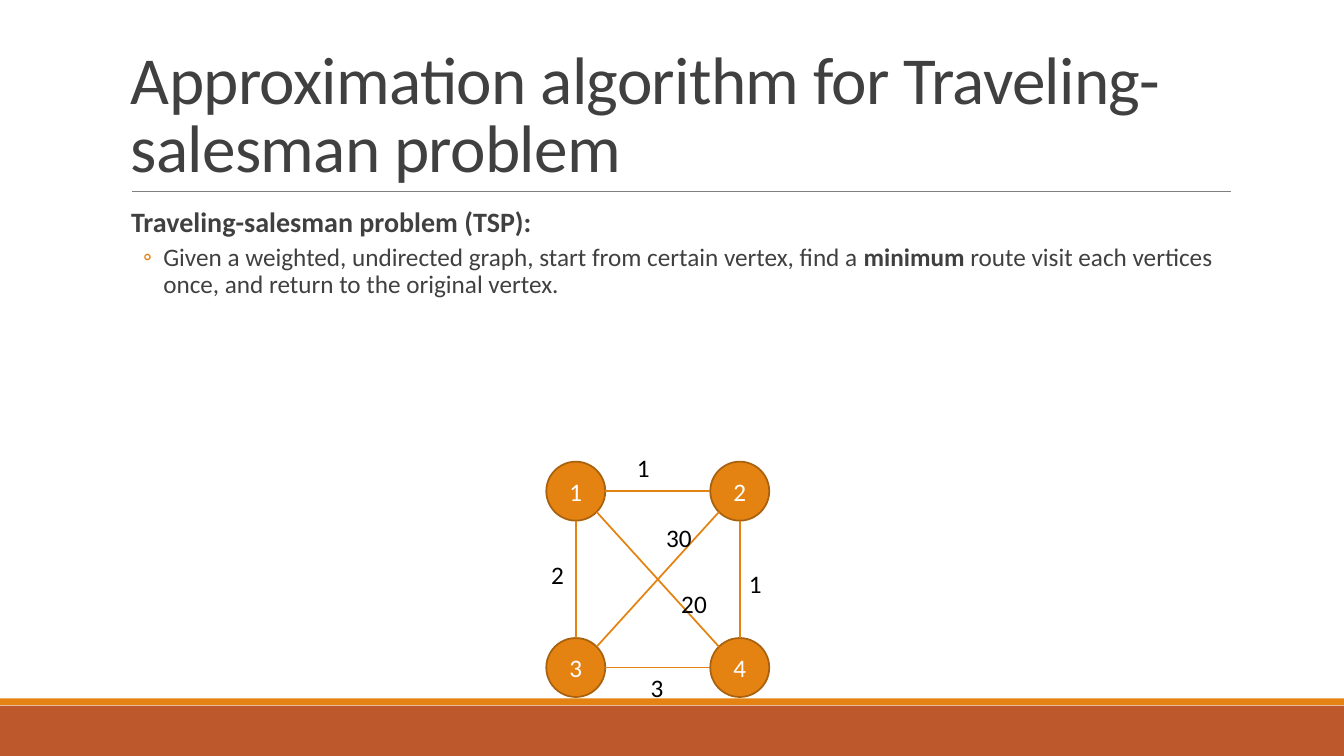
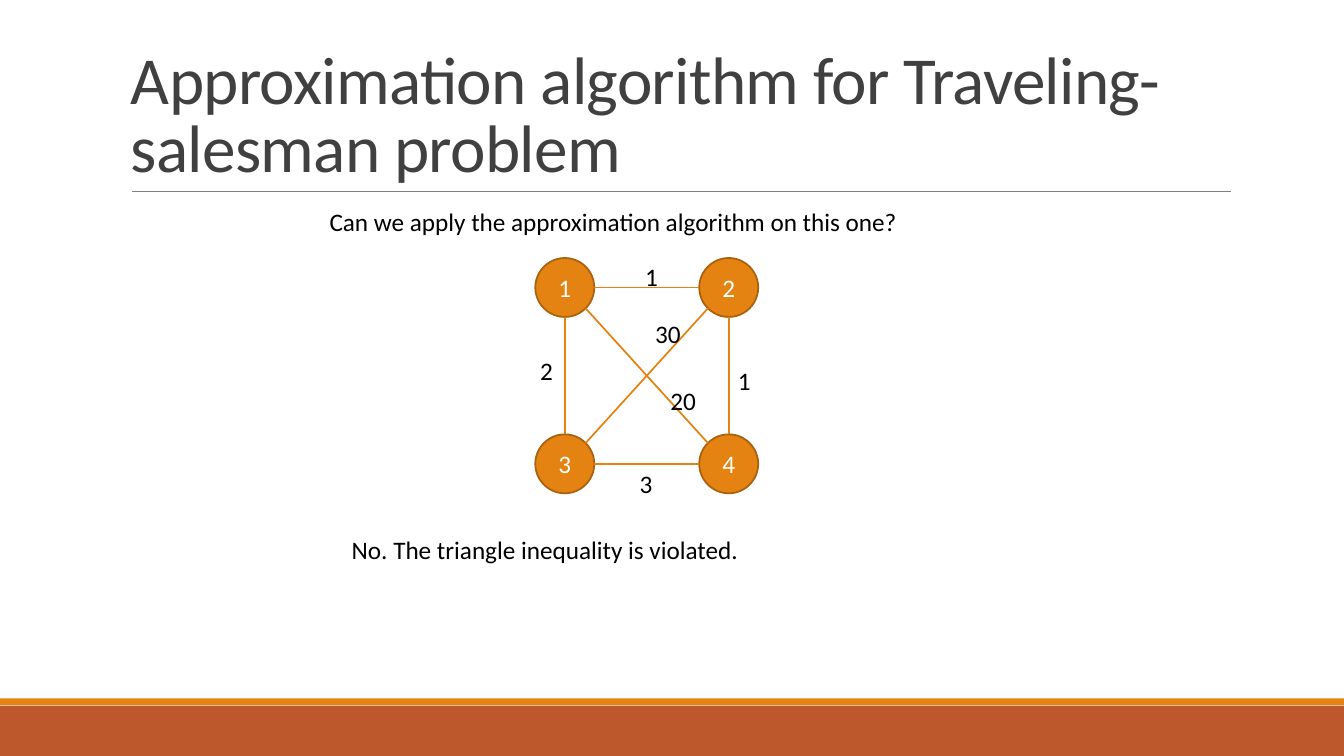
import dataclasses
import math

import lxml.etree
import pptx
import pptx.dml.color
import pptx.enum.shapes
import pptx.enum.text
import pptx.oxml.ns
import pptx.util

SHAPE = pptx.enum.shapes.MSO_SHAPE
ANCHOR = pptx.enum.text.MSO_ANCHOR
qn = pptx.oxml.ns.qn


@dataclasses.dataclass(frozen=True)
class Theme:
    font: str = "Calibri"
    accent: str = "E48312"
    accent_edge: str = "A9610D"
    band: str = "BD582C"
    rule: str = "808080"
    heading: str = "404040"
    label: str = "000000"
    on_accent: str = "FFFFFF"
    title_size: int = 48
    lead_size: int = 20
    text_size: int = 18
    edge_width: float = 1.25
    rule_width: float = 0.5


THEME = Theme()
WIDTH, HEIGHT = pptx.util.Inches(13.33), pptx.util.Inches(7.5)
TITLE = "Approximation algorithm for Traveling-salesman problem"
MARGIN, CONTENT_WIDTH = 9, 82.5
LINE_HEIGHT = 5.33

NODE_W, NODE_H = 4.39, 7.8
COLUMN_STEP, ROW_STEP = 12.2, 23.33
VERTICES = {"3": (0, 1), "1": (0, 0), "2": (1, 0), "4": (1, 1)}
TOP, BOTTOM_LEFT, LEFT, BOTTOM, BOTTOM_RIGHT, RIGHT, TOP_LEFT, TOP_RIGHT = 0, 3, 2, 4, 5, 6, 1, 7
EDGES = [
    ("1", BOTTOM, "3", TOP),
    ("1", RIGHT, "2", LEFT),
    ("2", BOTTOM, "4", TOP),
    ("3", RIGHT, "4", LEFT),
    ("1", BOTTOM_RIGHT, "4", TOP_LEFT),
    ("3", TOP_RIGHT, "2", BOTTOM_LEFT),
]
WEIGHTS = [
    ("2", -0.37, 12.27),
    ("1", 14.33, 13.47),
    ("3", 7.02, 27.2),
    ("30", 8.18, 7.33),
    ("20", 9.3, 16.13),
]


def across(percent):
    return round(WIDTH * percent / 100)


def down(percent):
    return round(HEIGHT * percent / 100)


def area(left, top, width, height):
    return across(left), down(top), across(width), down(height)


def rgb(value):
    return pptx.dml.color.RGBColor.from_string(value)


def style_runs(paragraph, size, color):
    for run in paragraph.runs:
        run.font.name = THEME.font
        run.font.size = pptx.util.Pt(size)
        run.font.color.rgb = rgb(color)


def add_text(slide, text, box, size=THEME.text_size, color=THEME.label):
    frame = slide.shapes.add_textbox(*area(*box)).text_frame
    frame.word_wrap = True
    frame.text = text
    style_runs(frame.paragraphs[0], size, color)
    return frame


def add_filled(slide, kind, box, fill, outline=None):
    shape = slide.shapes.add_shape(kind, *area(*box))
    shape.shadow.inherit = False
    shape.fill.solid()
    shape.fill.fore_color.rgb = rgb(fill)
    if outline:
        shape.line.color.rgb = rgb(outline)
        shape.line.width = pptx.util.Pt(THEME.edge_width)
    else:
        shape.line.fill.background()
    return shape


def add_line(slide, start, end, color, width):
    line = slide.shapes.add_connector(
        pptx.enum.shapes.MSO_CONNECTOR.STRAIGHT,
        across(start[0]), down(start[1]), across(end[0]), down(end[1]),
    )
    line.line.color.rgb = rgb(color)
    line.line.width = pptx.util.Pt(width)
    lxml.etree.SubElement(line._element.spPr, qn("a:effectLst"))
    return line


def add_titled_slide(deck):
    slide = deck.slides.add_slide(deck.slide_layouts[6])
    add_filled(slide, SHAPE.RECTANGLE, (0, 93.33, 100, 6.67), THEME.band)
    add_filled(slide, SHAPE.RECTANGLE, (0, 92.4, 100, 0.88), THEME.accent)
    add_line(slide, (9.83, 25.33), (91.6, 25.33), THEME.rule, THEME.rule_width)
    title = add_text(slide, TITLE, (MARGIN, 4.13, CONTENT_WIDTH, 21.2),
                     THEME.title_size, THEME.heading)
    title.vertical_anchor = ANCHOR.BOTTOM
    title.paragraphs[0].line_spacing = 0.85
    title.paragraphs[0].runs[0].font._element.set("spc", "-50")
    return slide


def add_bullet(paragraph, indent, hanging):
    props = paragraph._p.get_or_add_pPr()
    props.set("marL", str(across(indent)))
    props.set("indent", str(-across(hanging)))
    color = lxml.etree.SubElement(props, qn("a:buClr"))
    lxml.etree.SubElement(color, qn("a:srgbClr"), val=THEME.accent)
    lxml.etree.SubElement(props, qn("a:buFont"), typeface=THEME.font)
    lxml.etree.SubElement(props, qn("a:buChar"), char="◦")


def add_definition(slide, term, parts):
    frame = add_text(slide, term, (MARGIN, 26.93, CONTENT_WIDTH, 58.67),
                     THEME.lead_size, THEME.heading)
    frame.margin_left = frame.margin_right = 0
    lead = frame.paragraphs[0]
    lead.runs[0].font.bold = True
    lead.line_spacing = 0.9
    lead.space_after = pptx.util.Pt(2)
    lead._p.get_or_add_pPr().set("marL", str(across(0.75)))

    meaning = frame.add_paragraph()
    meaning.line_spacing = 0.9
    meaning.space_before = pptx.util.Pt(2)
    meaning.space_after = pptx.util.Pt(4)
    add_bullet(meaning, 3.15, 1.5)
    for text, bold in parts:
        run = meaning.add_run()
        run.text = text
        run.font.bold = bold
    style_runs(meaning, THEME.text_size, THEME.heading)


def add_vertex(slide, name, corner):
    vertex = add_filled(slide, SHAPE.OVAL, (*corner, NODE_W, NODE_H),
                        THEME.accent, THEME.accent_edge)
    frame = vertex.text_frame
    frame.margin_left = frame.margin_right = 0
    frame.vertical_anchor = ANCHOR.MIDDLE
    frame.text = name
    frame.paragraphs[0].alignment = pptx.enum.text.PP_ALIGN.CENTER
    style_runs(frame.paragraphs[0], THEME.text_size, THEME.on_accent)
    return vertex


def rim_point(corner, site):
    angle = site * math.pi / 4
    return (corner[0] + NODE_W * (1 - math.sin(angle)) / 2,
            corner[1] + NODE_H * (1 - math.cos(angle)) / 2)


def add_graph(slide, left, top, top_weight_at):
    corners = {name: (left + column * COLUMN_STEP, top + row * ROW_STEP)
               for name, (column, row) in VERTICES.items()}
    vertices = {name: add_vertex(slide, name, corner)
                for name, corner in corners.items()}
    for source, source_site, target, target_site in EDGES:
        edge = add_line(slide, rim_point(corners[source], source_site),
                        rim_point(corners[target], target_site),
                        THEME.accent, THEME.edge_width)
        joints = edge._element.nvCxnSpPr.cNvCxnSpPr
        for tag, name, site in (("a:stCxn", source, source_site),
                                ("a:endCxn", target, target_site)):
            lxml.etree.SubElement(joints, qn(tag), idx=str(site),
                                  id=str(vertices[name].shape_id))
    for weight, dx, dy in [("1", *top_weight_at), *WEIGHTS]:
        width = 1.5 + 0.98 * len(weight)
        add_text(slide, weight, (left + dx, top + dy, width, LINE_HEIGHT))


def main():
    deck = pptx.Presentation()
    deck.slide_width, deck.slide_height = WIDTH, HEIGHT

    problem = add_titled_slide(deck)
    add_definition(problem, "Traveling-salesman problem (TSP):", [
        ("Given a weighted, undirected graph, start from certain vertex, find a ", False),
        ("minimum", True),
        (" route visit each vertices once, and return to the original vertex.", False),
    ])
    add_graph(problem, 40.65, 61.07, (6, -1.87))

    question = add_titled_slide(deck)
    add_graph(question, 39.83, 34.13, (7.43, -0.27))
    add_text(question, "Can we apply the approximation algorithm on this one?",
             (23.78, 26.67, 45.24, LINE_HEIGHT))
    add_text(question, "No. The triangle inequality is violated.",
             (25.43, 70, 45.24, LINE_HEIGHT))

    deck.save("out.pptx")


if __name__ == "__main__":
    main()
